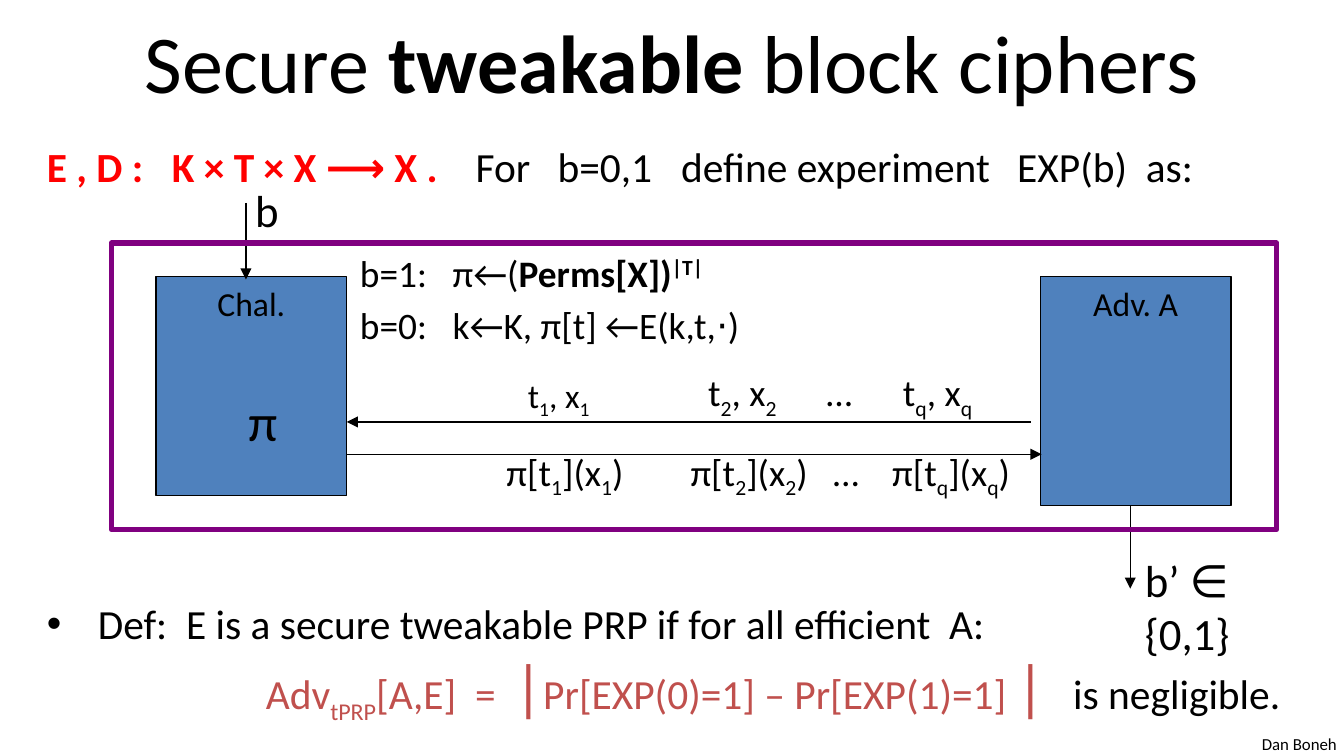
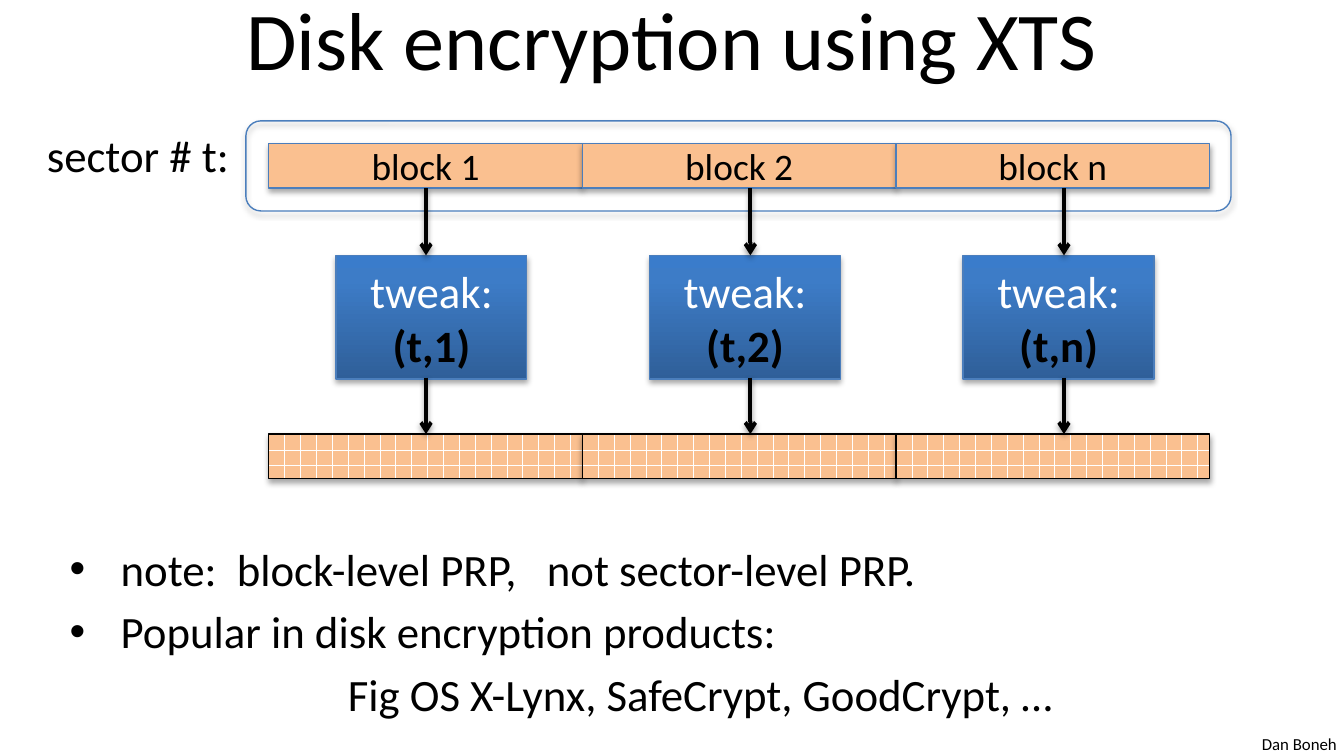
import copy
import lxml.etree
import pptx
import pptx.dml.color
import pptx.enum.dml
import pptx.enum.shapes
import pptx.enum.text
import pptx.oxml.ns
import pptx.util

IN = pptx.util.Inches
PT = pptx.util.Pt
QN = pptx.oxml.ns.qn
KIND = pptx.enum.shapes.MSO_SHAPE
ALIGN = pptx.enum.text.PP_ALIGN
MID = pptx.enum.text.MSO_ANCHOR.MIDDLE
TOP = pptx.enum.text.MSO_ANCHOR.TOP
FIT = pptx.enum.text.MSO_AUTO_SIZE

BLACK, WHITE, RED, BRICK = "000000", "FFFFFF", "FF0000", "C0504D"
BLUE, EDGE, PURPLE, PEACH = "4F81BD", "4B7EBC", "800080", "FAC090"
SHADE = ((0, "2F5F99"), (0.8, "3D7CC7"), (1, "3A7CCB"))
FONT = "Calibri"
BOLD = {"bold": True}


def tint(code):
    """Turn a hex string into a colour."""
    return pptx.dml.color.RGBColor.from_string(code)


def node(root, tag, **attrs):
    """Append a drawing element with its attributes."""
    return lxml.etree.SubElement(root, QN("a:" + tag), {k: str(v) for k, v in attrs.items()})


def style(run, form):
    """Apply a dict of format values to a run."""
    form = {"name": FONT, "color": BLACK, **form}
    run.font.color.rgb = tint(form.pop("color"))
    base = form.pop("base", 0)
    if base:
        run._r.get_or_add_rPr().set("baseline", str(base * 1000))
    for key, value in form.items():
        setattr(run.font, key, PT(value) if key == "size" else value)


def subs(text):
    """Split text into runs, lowering each letter after an underscore."""
    first, *rest = text.split("_")
    runs = [(first, {})]
    for part in rest:
        runs += [(part[0], {"base": -25}), (part[1:], {})]
    return [run for run in runs if run[0]]


def write(frame, paras, size, align=ALIGN.LEFT, gap=0, tabs=(), left=0, bullet=False):
    """Add paragraphs, each a list of runs, to a text frame."""
    for runs in paras:
        blank = len(frame.paragraphs) == 1 and not frame.paragraphs[0].runs
        para = frame.paragraphs[0] if blank else frame.add_paragraph()
        para.alignment, para.space_before = align, PT(gap)
        props = para._p.get_or_add_pPr()
        if left:
            props.set("marL", str(IN(left)))
            props.set("indent", str(-IN(left) if bullet else 0))
        if bullet:
            node(props, "buFont", typeface="Arial")
            node(props, "buChar", char="•")
        if tabs:
            stops = node(props, "tabLst")
            for stop in tabs:
                node(stops, "tab", pos=IN(stop), algn="l")
        for text, form in runs:
            if text == "\n":
                para.add_line_break()
                continue
            run = para.add_run()
            run.text = text
            style(run, {"size": size, **form})


def label(slide, box, paras, size, wrap=False, anchor=TOP, **form):
    """Place a text box and return its frame."""
    frame = slide.shapes.add_textbox(*map(IN, box)).text_frame
    frame.word_wrap, frame.vertical_anchor = wrap, anchor
    frame.auto_size = FIT.NONE if wrap else FIT.SHAPE_TO_FIT_TEXT
    write(frame, paras, size, **form)
    return frame


def shadow(props, alpha, dist):
    """Put a soft shadow into an effect list."""
    cast = node(props.find(QN("a:effectLst")), "outerShdw", blurRad=PT(3.1),
                dist=PT(dist), dir=5400000, rotWithShape=0)
    node(node(cast, "srgbClr", val=BLACK), "alpha", val=alpha * 1000)


def block(slide, box, fill=None, edge=BLACK, width=0.75, kind=KIND.RECTANGLE, soft=False):
    """Draw a preset shape with a plain fill or none."""
    shape = slide.shapes.add_shape(kind, *map(IN, box))
    if fill:
        shape.fill.solid()
        shape.fill.fore_color.rgb = tint(fill)
    else:
        shape.fill.background()
    shape.line.color.rgb, shape.line.width = tint(edge), PT(width)
    shape.shadow.inherit = False
    if soft:
        shadow(shape._element.spPr, 35, 1.8)
    return shape


def arrow(slide, start, end, width=0.75, head="triangle", soft=False):
    """Draw a straight arrow between two points."""
    link = slide.shapes.add_connector(
        pptx.enum.shapes.MSO_CONNECTOR.STRAIGHT, *map(IN, start + end))
    link.line.color.rgb, link.line.width = tint(BLACK), PT(width)
    props = link._element.spPr
    node(props.find(QN("a:ln")), "tailEnd", type=head)
    node(props, "effectLst")
    if soft:
        shadow(props, 38, 1.6)


def base(deck, runs, top):
    """Add a slide with its title and footer."""
    slide = deck.slides.add_slide(deck.slide_layouts[6])
    label(slide, (9.29, 5.41, 0.76, 0.25), [[("Dan Boneh", {})]], 9)
    label(slide, (0.5, top, 9, 0.94), [runs], 44, wrap=True, anchor=MID, align=ALIGN.CENTER)
    return slide


def party(slide, box, name):
    """Draw one player of the game."""
    frame = block(slide, box, BLUE).text_frame
    frame.word_wrap, frame.vertical_anchor = False, TOP
    write(frame, [[(name, {})]], 18, align=ALIGN.CENTER)


def game(slide, x, y, w, h):
    """Draw the experiment between challenger and adversary."""
    chal, adv, wide = x + 0.33, x + 6.91, 1.42
    side = chal + wide
    party(slide, (chal, y + 0.25, wide, 1.63), "Chal.")
    party(slide, (adv, y + 0.25, wide, 1.7), "Adv. A")
    arrow(slide, (x + 1, y - 0.3), (x + 1, y + 0.27))
    arrow(slide, (adv - 0.07, y + 1.33), (side, y + 1.33))
    arrow(slide, (side, y + 1.57), (adv + 0.01, y + 1.57))
    arrow(slide, (x + 7.58, y + 1.95), (x + 7.58, y + 2.57))
    label(slide, (x + 0.97, y - 0.5, 0.38, 0.5), [[("b", {})]], 24)
    label(slide, (x + 0.92, y + 1.04, 0.42, 0.57), [[("π", {})]], 28)
    label(slide, (x + 7.59, y + 2.25, 1.4, 0.5), [[("b’ ∈ {0,1}", {})]], 24, wrap=True)
    cases = label(slide, (side, y, 3.08, 0.83),
                  [[("b=1:\tπ←(", {}), ("Perms[X])", BOLD), ("|T|", {**BOLD, "base": 30})]],
                  20, tabs=(0.69,))
    write(cases, [[("b=0:\tk←K, π[t] ←E(k,t,⋅)", {})]], 20, gap=4, tabs=(0.69,))
    for dx, dy, wide, size, text, tabs in (
            (3, 0.93, 0.69, 18, "t_1, x_1", ()),
            (4.34, 0.89, 2.24, 20, "t_2, x_2\t…\tt_q, x_q", (0.88, 1.45)),
            (2.84, 1.48, 1.1, 20, "π[t_1](x_1)", ()),
            (4.21, 1.48, 2.71, 20, "π[t_2](x_2)\t…\tπ[t_q](x_q)", (1.06, 1.5))):
        label(slide, (x + dx, y + dy, wide, 0.44), [subs(text)], size, tabs=tabs)
    block(slide, (x, y, w, h), edge=PURPLE, width=3)


def claim(slide, x, y, w, h):
    """Write the definition and its formula."""
    frame = label(slide, (x, y, w, h),
                  [[("Def:  E is a secure tweakable PRP if for all efficient  A:", {})]],
                  22.2, wrap=True, left=0.38, bullet=True)
    hue = {"color": BRICK}
    tall = {**hue, "size": 33.3}
    write(frame, [[("Adv", hue), ("tPRP", {**hue, "base": -25}), ("[A,E]  =  ", hue),
                   ("|", tall), ("Pr[EXP(0)=1] – Pr[EXP(1)=1] ", hue), ("|  ", tall),
                   ("is negligible.", {})]], 22.2, left=1.63)


def chain(slide, x, y, w, h):
    """Draw the sector, its tweaked ciphers and the output blocks."""
    left, step = x + 0.17, 7 / 3
    high, mid, low = y + 0.17, y + 1, y + 2.33
    label(slide, (x - 1.58, y, 1.57, 0.5), [[("sector # t:", {})]], 24)
    for i, name in enumerate("12n"):
        at = left + i * step
        plain = block(slide, (at, high, step, 0.33), PEACH, EDGE, soft=True)
        plain.text_frame.vertical_anchor = MID
        write(plain.text_frame, [[("block " + name, {})]], 20, align=ALIGN.CENTER)
        tweak = block(slide, (at + 0.5, mid, 1.42, 0.92), BLUE, EDGE, soft=True)
        tweak.fill.gradient()
        stops = tweak._element.spPr.find(".//" + QN("a:gsLst"))
        stops.append(copy.deepcopy(stops[-1]))
        for stop, (place, code) in zip(tweak.fill.gradient_stops, SHADE):
            stop.position, stop.color.rgb = place, tint(code)
        tweak.fill.gradient_angle = 90
        tweak.text_frame.vertical_anchor = MID
        write(tweak.text_frame, [[("tweak:", {"color": WHITE}), ("\n", {}),
                                  (f"(t,{name})", BOLD)]], 24, align=ALIGN.CENTER)
        brick = block(slide, (at, low, step, 0.33), PEACH, soft=True)
        brick.fill.patterned()
        brick.fill.pattern = pptx.enum.dml.MSO_PATTERN.HORIZONTAL_BRICK
        brick.fill.fore_color.rgb, brick.fill.back_color.rgb = tint(WHITE), tint(PEACH)
    block(slide, (x, y, w, h), edge=EDGE, kind=KIND.ROUNDED_RECTANGLE, soft=True)
    for i in range(3):
        at = left + 1.17 + i * step + (0.08 if i else 0)
        for start, end in ((high + 0.33, mid), (mid + 0.91, low)):
            arrow(slide, (at, start), (at, end), 2, "arrow", True)


def notes(slide, x, y, w, h):
    """Write the closing points on the cipher mode."""
    frame = label(slide, (x, y, w, h),
                  [[("note:  block-level PRP,   not sector-level PRP.", {})],
                   [("Popular in disk encryption products:", {})]],
                  24, wrap=True, gap=4.8, left=0.38, bullet=True)
    write(frame, [[("Fig OS X-Lynx, SafeCrypt, GoodCrypt, …", {})]], 24, gap=4.8, left=2.07)


def main():
    """Build and save both slides."""
    deck = pptx.Presentation()
    deck.slide_width, deck.slide_height = IN(10), IN(10) * 9 // 16
    slide = base(deck, [("Secure ", {}), ("tweakable", BOLD), (" block ciphers", {})], -0.02)
    label(slide, (0.25, 1, 9.75, 0.5),
          [[("E , D :\tK × T × X ⟶ X .\t", {**BOLD, "color": RED}),
            ("For\tb=0,1\tdefine experiment\tEXP(b)  as:", {})]],
          22.2, wrap=True, tabs=(0.93, 3.19, 3.8, 4.72, 7.22))
    claim(slide, 0.25, 4.4, 9.75, 1.1)
    game(slide, 0.83, 1.81, 8.67, 2.13)
    slide = base(deck, [("Disk encryption using XTS", {})], -0.19)
    notes(slide, 0.42, 3.98, 9, 1.5)
    chain(slide, 1.83, 0.9, 7.33, 0.67)
    deck.save("out.pptx")


if __name__ == "__main__":
    main()
